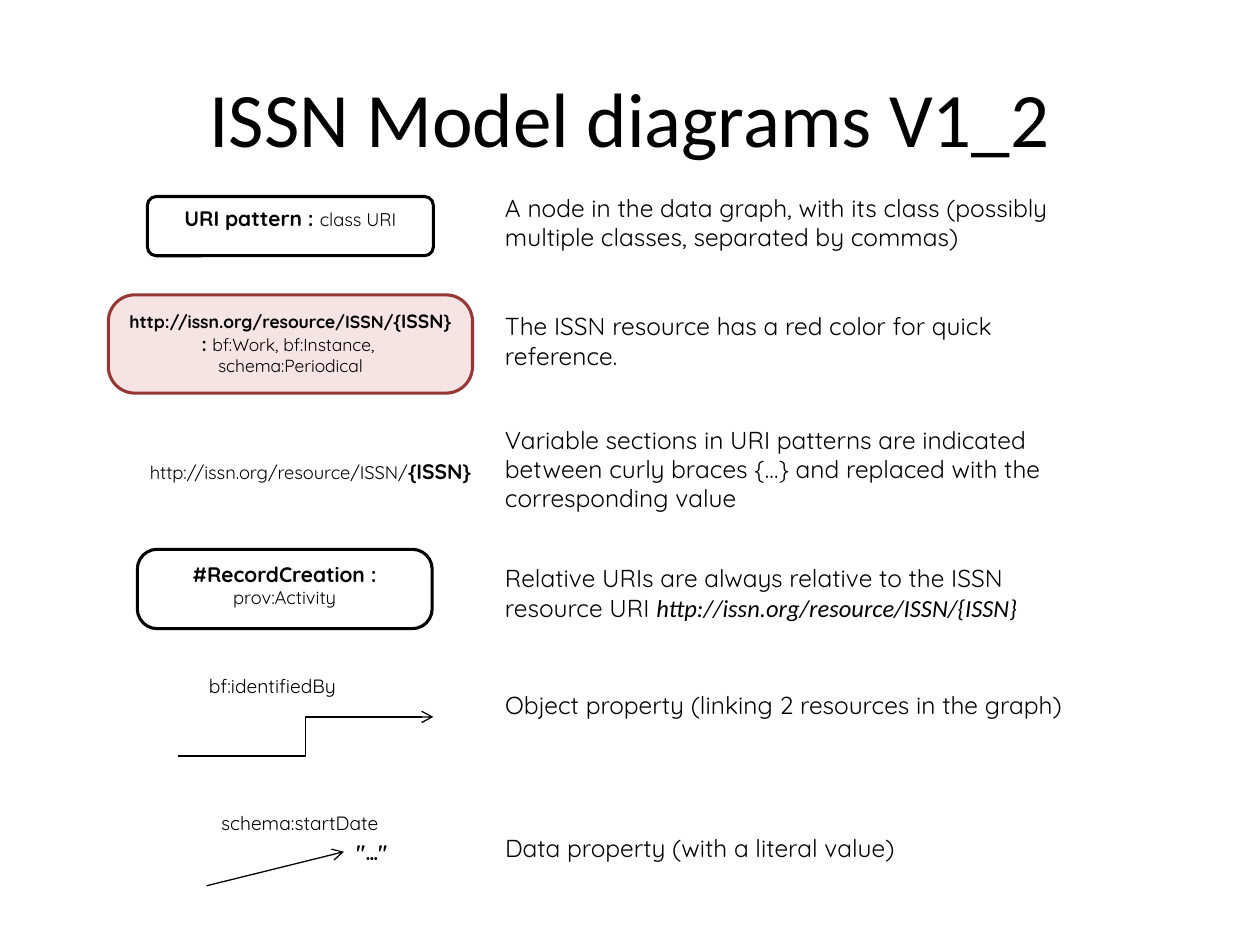
from dataclasses import dataclass

from pptx import Presentation
from pptx.dml.color import RGBColor
from pptx.enum.shapes import MSO_CONNECTOR, MSO_SHAPE
from pptx.enum.text import MSO_ANCHOR, PP_ALIGN
from pptx.oxml.ns import qn
from pptx.util import Inches, Pt
from lxml.etree import SubElement


@dataclass(frozen=True)
class Theme:
    head: str = "Calibri"
    body: str = "Quicksand"
    ink: str = "000000"
    rose: str = "F5E4E3"
    red: str = "953735"
    title: float = 44
    note: float = 14
    name: float = 12
    var: float = 11
    label: float = 11
    kind: float = 10.5
    small: float = 10
    edge: float = 1.75
    thin: float = 0.75


T = Theme()
BASE = "http://issn.org/resource/ISSN/"
BOLD = {"bold": True}

TITLE = "ISSN Model diagrams V1_2"

# Explanations share one left edge: top, width, height, runs
NOTE_X = 3.91
NOTES = [
    (1.48, 5, 0.57, [("A node in the data graph, with its class (possibly "
                      "multiple classes, separated by commas)", {})]),
    (2.42, 5, 0.57, [("The ISSN resource has a red color for quick reference.", {})]),
    (3.32, 4.77, 0.81, [("Variable sections in URI patterns are indicated between curly "
                         "braces {…} and replaced with the corresponding value", {})]),
    (4.42, 4.77, 0.57, [("Relative URIs are always relative to the ISSN resource URI ", {}),
                        (BASE + "{ISSN}", {"font": T.head, "italic": True})]),
    (5.43, 4.92, 0.34, [("Object property (linking 2 resources in the graph)", {})]),
    (6.56, 3.59, 0.34, [("Data property (with a literal value)", {})]),
]

# Nodes: place, corner, fill, line, runs
NODES = [
    ((1.17, 1.56, 2.27, 0.47), 0.15, None, T.ink,
     [("URI pattern : ", {"size": T.name, **BOLD}), ("class URI", {"size": T.kind})]),
    ((0.86, 2.34, 2.89, 0.78), 0.27, T.rose, T.red,
     [(BASE, {"size": T.small, **BOLD}), ("{ISSN} : ", {"size": T.var, **BOLD}),
      ("bf:Work, bf:Instance,  schema:Periodical", {"size": T.small})]),
    ((1.09, 4.36, 2.34, 0.63), 0.25, None, T.ink,
     [("#RecordCreation : ", {"size": T.name, **BOLD}),
      ("prov:Activity", {"size": T.kind})]),
]

# Labels: place, alignment, runs
LABELS = [
    ((1.09, 3.59, 2.88, 0.3), PP_ALIGN.LEFT,
     [(BASE, {"size": T.kind}), ("{ISSN}", {"size": T.name, **BOLD})]),
    ((1.56, 5.3, 2.03, 0.29), PP_ALIGN.LEFT, [("bf:identifiedBy", {"size": T.label})]),
    ((1.56, 6.39, 1.64, 0.29), PP_ALIGN.CENTER, [("schema:startDate", {"size": T.label})]),
]

LITERAL = ((2.73, 6.68, 0.55, 0.16), [('"…"', {"size": T.name, **BOLD})])
OBJECT_LINK = (1.41, 6, 3.44, 5.69)
DATA_LINK = (1.64, 7.03, 2.73, 6.76)


def inches(place):
    return [Inches(n) for n in place]


def write(shape, runs, align=PP_ALIGN.LEFT, anchor=MSO_ANCHOR.TOP, size=T.note, font=T.body):
    """Fill a shape with runs; each run may override size, font, bold and italic."""
    frame = shape.text_frame
    frame.word_wrap = True
    frame.vertical_anchor = anchor
    para = frame.paragraphs[0]
    para.alignment = align
    for text, style in runs:
        run = para.add_run()
        run.text = text
        run.font.size = Pt(style.get("size", size))
        run.font.name = style.get("font", font)
        run.font.bold = style.get("bold", False)
        run.font.italic = style.get("italic", False)
        run.font.color.rgb = RGBColor.from_string(T.ink)


def add_text(slide, place, runs, **style):
    write(slide.shapes.add_textbox(*inches(place)), runs, **style)


def add_node(slide, place, corner, fill, line, runs, **style):
    node = slide.shapes.add_shape(MSO_SHAPE.ROUNDED_RECTANGLE, *inches(place))
    node.adjustments[0] = corner
    node.shadow.inherit = False
    if fill:
        node.fill.solid()
        node.fill.fore_color.rgb = RGBColor.from_string(fill)
    else:
        node.fill.background()
    if line:
        node.line.color.rgb = RGBColor.from_string(line)
        node.line.width = Pt(T.edge)
    else:
        node.line.fill.background()
    write(node, runs, **style)
    return node


def add_arrow(slide, kind, ends):
    arrow = slide.shapes.add_connector(kind, *inches(ends))
    arrow.line.color.rgb = RGBColor.from_string(T.ink)
    arrow.line.width = Pt(T.thin)
    SubElement(arrow.line._get_or_add_ln(), qn("a:tailEnd"), type="arrow")
    SubElement(arrow._element.spPr, qn("a:effectLst"))
    return arrow


def main():
    deck = Presentation()
    deck.slide_width, deck.slide_height = Inches(10), Inches(7.5)
    slide = deck.slides.add_slide(deck.slide_layouts[6])

    add_text(slide, (0.5, 0.3, 9, 1.25), [(TITLE, {})], align=PP_ALIGN.CENTER,
             anchor=MSO_ANCHOR.MIDDLE, size=T.title, font=T.head)
    for top, width, height, runs in NOTES:
        add_text(slide, (NOTE_X, top, width, height), runs)
    for node in NODES:
        add_node(slide, *node, align=PP_ALIGN.CENTER)
    for place, align, runs in LABELS:
        add_text(slide, place, runs, align=align)

    add_arrow(slide, MSO_CONNECTOR.ELBOW, OBJECT_LINK)
    place, runs = LITERAL
    literal = add_node(slide, place, 0, None, None, runs, anchor=MSO_ANCHOR.MIDDLE)
    add_arrow(slide, MSO_CONNECTOR.STRAIGHT, DATA_LINK).end_connect(literal, 1)

    deck.save("out.pptx")


if __name__ == "__main__":
    main()
